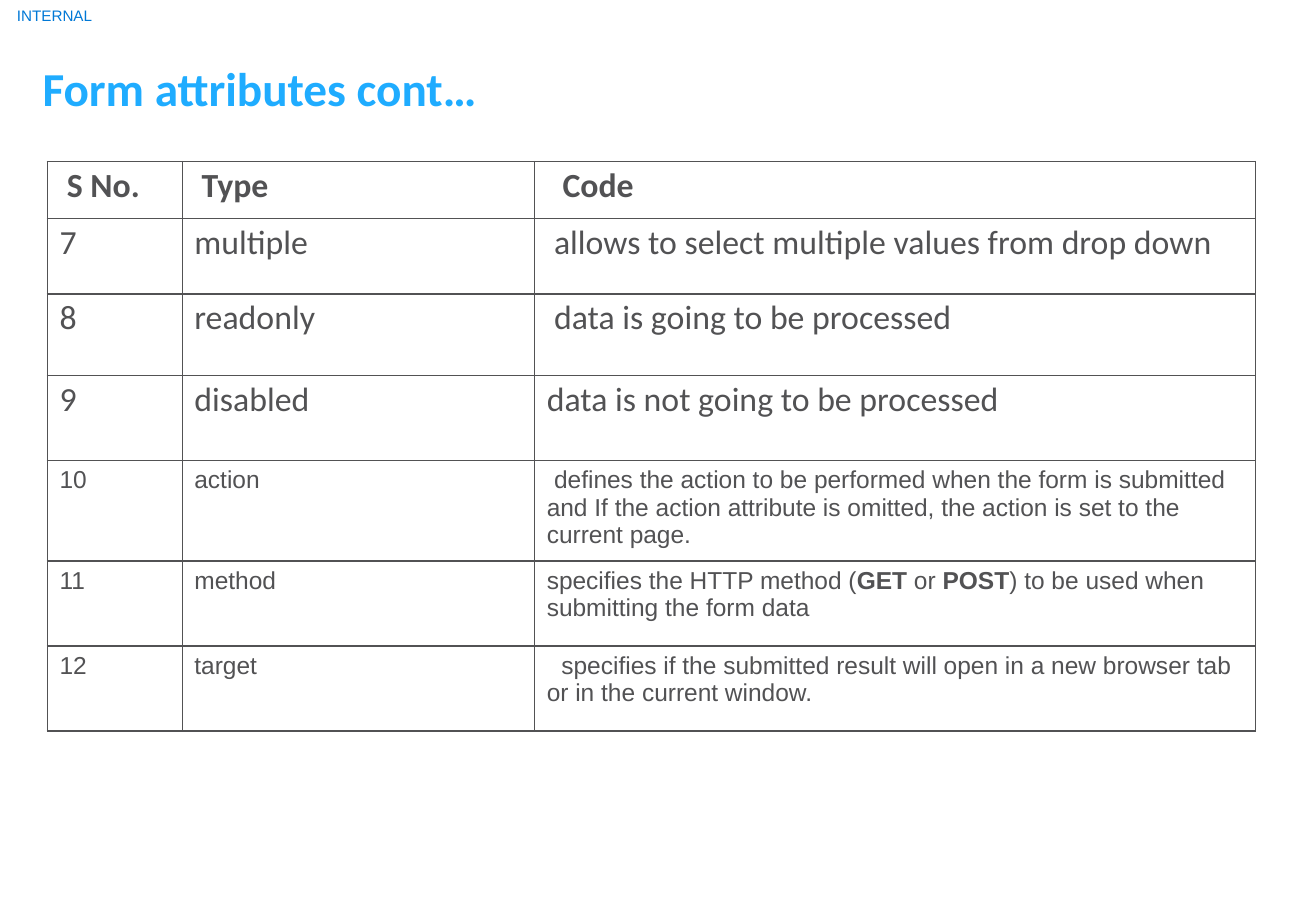
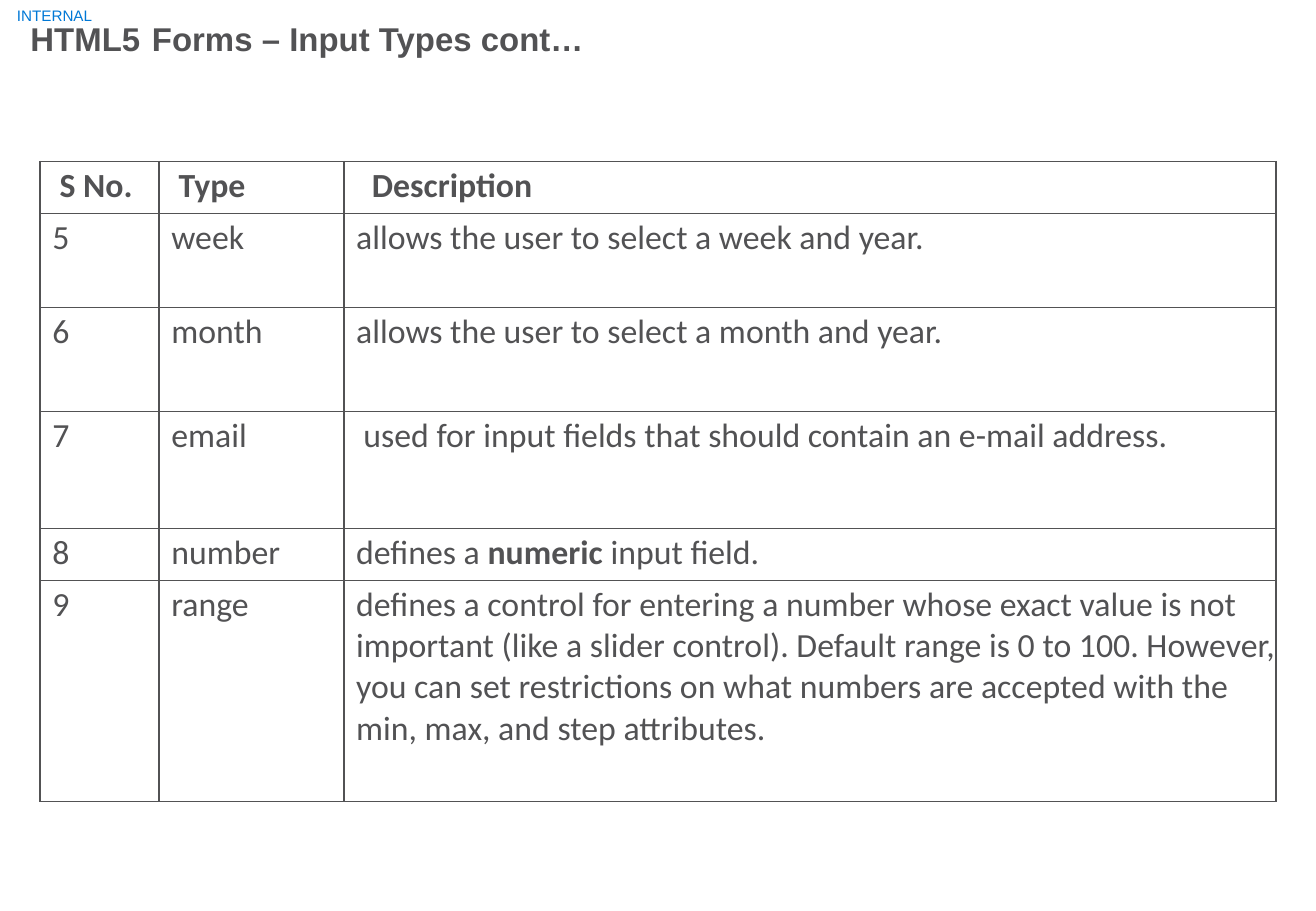
from dataclasses import dataclass

import pptx
import pptx.dml.color
import pptx.enum.text
import pptx.oxml
import pptx.oxml.ns
import pptx.util
from lxml import etree

RGBColor = pptx.dml.color.RGBColor
Inches = pptx.util.Inches
Pt = pptx.util.Pt

SKY = RGBColor(0x1F, 0xAC, 0xFF)
BLUE = RGBColor(0x00, 0x78, 0xD6)
GREY = RGBColor(0x52, 0x52, 0x54)
WIDTH = Inches(10.83)
HEIGHT = Inches(7.5)
CELL_INDENT = 0.1
TABLE_TOP = 17.73


@dataclass(frozen=True)
class Style:
    font: str
    size: float
    color: RGBColor
    bold: bool = False
    before: float = 1
    inset: float = 0.01


@dataclass(frozen=True)
class Cell:
    text: str
    shift: float = 0


@dataclass(frozen=True)
class Row:
    height: float
    cells: tuple[Cell, ...]
    style: Style


@dataclass(frozen=True)
class Page:
    title: str
    title_style: Style
    title_box: tuple[float, float, float, float]
    left: float
    cols: tuple[float, ...]
    rows: tuple[Row, ...]
    tab: float = 0


LABEL = Style("Arial", 9, BLUE)
LABEL_BOX = (1.2, 0.53, 5.91, 2.4)
HEAD = Style("Calibri", 20, GREY, True, 2.3, 0.03)
LARGE = Style("Calibri", 20, GREY, False, 2.4, 0.03)
SMALL = Style("Arial", 14.5, GREY, False, 3.4, 0.05)


def header(height: float, last: str) -> Row:
    return Row(height, (Cell("S No.", 0.06), Cell("Type", 0.06), Cell(last, 0.13)), HEAD)


def entry(height: float, number: str, name: str, text: str,
          style: Style = LARGE, shift: float = 0) -> Row:
    return Row(height, (Cell(number), Cell(name), Cell(text, shift)), style)


PAGES = (
    Page(
        "Form attributes cont…", Style("Calibri", 28, SKY, True),
        (3.14, 6.4, 35, 6.53), 3.6, (10.25, 26.78, 54.76),
        (
            header(6.27, "Code"),
            entry(8.27, "7", "multiple", "allows to select multiple values from drop down", shift=0.06),
            entry(8.93, "8", "readonly", "data is going to be processed", shift=0.06),
            entry(9.33, "9", "disabled", "data is not going to be processed"),
            entry(11.07, "10", "action",
                  "defines the action to be performed when the form is submitted and If the action "
                  "attribute is omitted, the action is set to the current page.", SMALL, 0.06),
            entry(9.33, "11", "method",
                  "specifies the HTTP method (**GET **or **POST**) to be used when "
                  "submitting the form data", SMALL),
            entry(9.33, "12", "target",
                  "specifies if the submitted result will open in a new browser tab\n"
                  "or in the current window.", SMALL, 0.12),
        ),
    ),
    Page(
        "HTML5\tForms – Input Types cont…", Style("Arial", 19.5, GREY, True),
        (2.22, 1.87, 44, 4.67), 3.05, (9.05, 14.04, 70.82),
        (
            header(5.73, "Description"),
            entry(10.27, "5", "week", "allows the user to select a week and year."),
            entry(11.47, "6", "month", "allows the user to select a month and year."),
            entry(12.8, "7", "email",
                  "used for input fields that should contain an e-mail address.", shift=0.06),
            entry(5.73, "8", "number", "defines a **numeric **input field."),
            entry(24.27, "9", "range",
                  "defines a control for entering a number whose exact value is not\n"
                  "important (like a slider control). Default range is 0 to 100. However, you can "
                  "set restrictions on what numbers are accepted with the min, max, and step "
                  "attributes."),
        ),
        tab=1.07,
    ),
)


def across(share: float) -> int:
    return int(WIDTH * share / 100)


def down(share: float) -> int:
    return int(HEIGHT * share / 100)


def apply(target: object, values: dict[str, object]) -> None:
    for name, value in values.items():
        setattr(target, name, value)


def write(tf: pptx.text.text.TextFrame, text: str, style: Style,
          indent: float = 0.01, shift: float = 0) -> None:
    for i, line in enumerate(text.split("\n")):
        p = tf.add_paragraph() if i else tf.paragraphs[0]
        apply(p, {"alignment": pptx.enum.text.PP_ALIGN.LEFT,
                  "space_before": Pt(0 if i else style.before)})
        pPr = p._p.get_or_add_pPr()
        pPr.set("marL", str(Inches(indent)))
        pPr.set("indent", str(Inches(0 if i else shift)))
        for j, part in enumerate(line.split("**")):
            r = p.add_run()
            r.text = part
            apply(r.font, {"name": style.font, "size": Pt(style.size),
                           "bold": style.bold or j % 2 == 1})
            r.font.color.rgb = style.color


def place(sp: pptx.shapes.base.BaseShape, box: tuple[float, float, float, float],
          text: str, style: Style) -> None:
    x, y, w, h = box
    apply(sp, {"left": across(x), "top": down(y), "width": across(w), "height": down(h)})
    tf = sp.text_frame
    apply(tf, {"margin_left": 0, "margin_right": 0, "margin_bottom": 0,
               "margin_top": Inches(style.inset), "word_wrap": True,
               "auto_size": pptx.enum.text.MSO_AUTO_SIZE.NONE,
               "vertical_anchor": pptx.enum.text.MSO_ANCHOR.TOP})
    write(tf, text, style)


def add_tab(p: pptx.text.text._Paragraph, position: float) -> None:
    qn = pptx.oxml.ns.qn
    tabs = etree.SubElement(p._p.get_or_add_pPr(), qn("a:tabLst"))
    etree.SubElement(tabs, qn("a:tab"), pos=str(Inches(position)), algn="l")


def add_borders(cell: pptx.table._Cell) -> None:
    tcPr = cell._tc.get_or_add_tcPr()
    for i, side in enumerate(("lnL", "lnR", "lnT", "lnB")):
        tcPr.insert(i, pptx.oxml.parse_xml(
            f'<a:{side} {pptx.oxml.ns.nsdecls("a")} w="{Pt(1)}"><a:solidFill>'
            f'<a:srgbClr val="{GREY}"/></a:solidFill></a:{side}>'))


def add_grid(s: pptx.slide.Slide, page: Page) -> None:
    table = s.shapes.add_table(
        len(page.rows), len(page.cols), across(page.left), down(TABLE_TOP),
        across(sum(page.cols)), down(sum(row.height for row in page.rows))).table
    apply(table, {"first_row": False, "horz_banding": False})
    for column, width in zip(table.columns, page.cols):
        column.width = across(width)
    for line, row in zip(table.rows, page.rows):
        line.height = down(row.height)
        for cell, content in zip(line.cells, row.cells):
            apply(cell, {"margin_left": 0, "margin_right": 0, "margin_bottom": 0,
                         "margin_top": Inches(row.style.inset)})
            cell.fill.background()
            add_borders(cell)
            write(cell.text_frame, content.text, row.style, CELL_INDENT, content.shift)


def add_page(prs: pptx.presentation.Presentation, page: Page) -> None:
    s = prs.slides.add_slide(prs.slide_layouts[5])
    place(s.shapes.add_textbox(0, 0, 0, 0), LABEL_BOX, "INTERNAL", LABEL)
    place(s.shapes.title, page.title_box, page.title, page.title_style)
    if page.tab:
        add_tab(s.shapes.title.text_frame.paragraphs[0], page.tab)
    add_grid(s, page)


def main() -> None:
    prs = pptx.Presentation()
    apply(prs, {"slide_width": WIDTH, "slide_height": HEIGHT})
    for page in PAGES:
        add_page(prs, page)
    prs.save("out.pptx")


if __name__ == "__main__":
    main()
